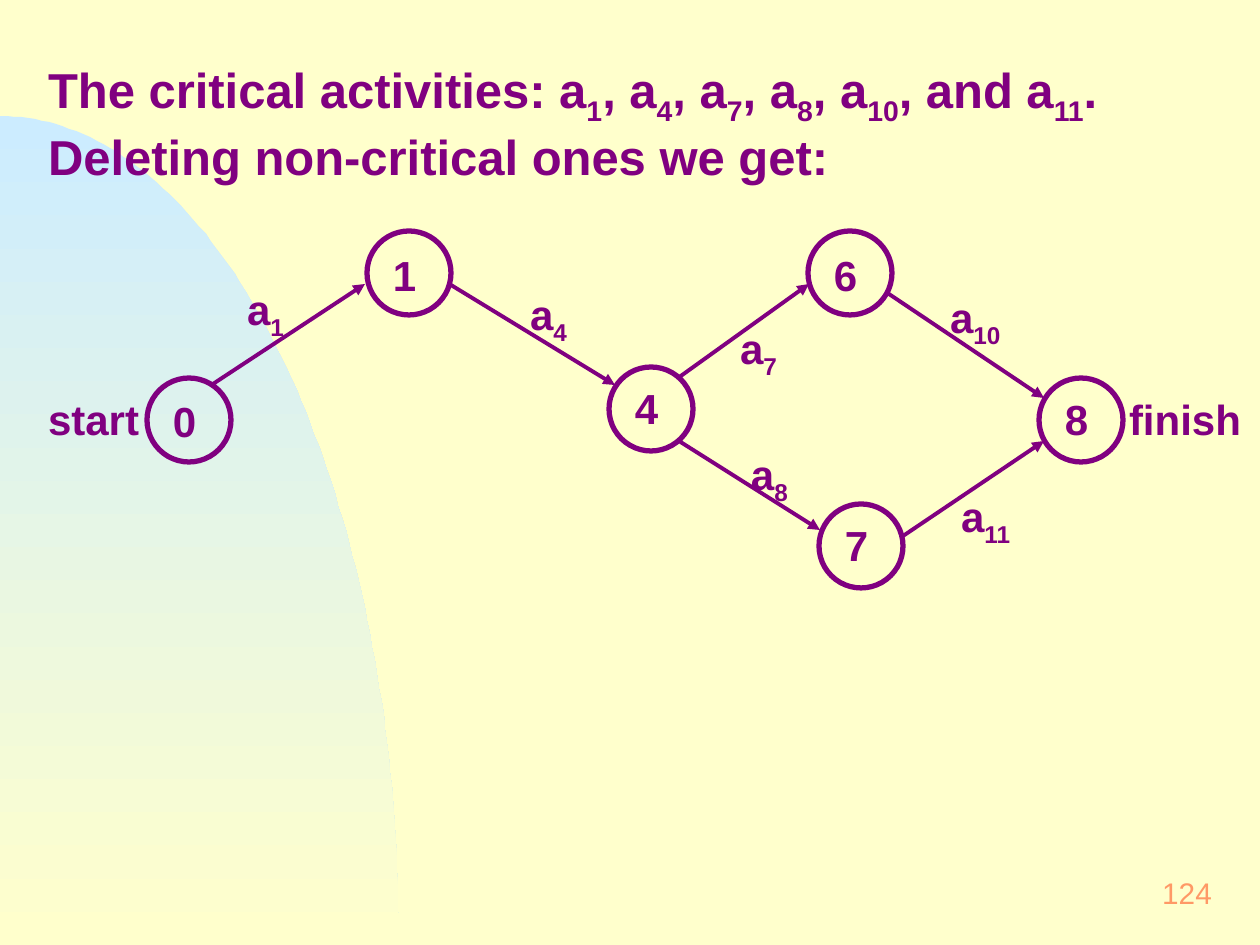
from math import cos, pi, sin
from typing import NamedTuple

from lxml.etree import SubElement
from pptx import Presentation
from pptx.dml.color import RGBColor as RGB
from pptx.enum.shapes import MSO_CONNECTOR as LINK, MSO_SHAPE as SHAPE
from pptx.enum.text import MSO_ANCHOR as ANCHOR, MSO_AUTO_SIZE as AUTO, PP_ALIGN as ALIGN
from pptx.oxml.ns import qn
from pptx.util import Emu, Pt

COLORS = {"back": "FFFFCC", "sky": "CCECFF", "ink": "800080", "page": "FF9966"}
WIDTH, HEIGHT = 1260, 945
SCALE = 914400 / 126
RING = 84


class Node(NamedTuple):
    name: str
    left: int
    top: int
    drop: int  # from ring top to text box top


class Edge(NamedTuple):
    x1: int
    y1: int
    x2: int
    y2: int


class Label(NamedTuple):
    text: str  # every second part between underscores is a subscript
    left: int
    top: int
    width: int
    height: int = 73


NODES = [
    Node("0", 147, 378, 10), Node("1", 367, 231, 11), Node("4", 609, 367, 8),
    Node("6", 808, 231, 11), Node("7", 819, 504, 8), Node("8", 1039, 378, 8),
]
EDGES = [
    Edge(213, 384, 365, 284), Edge(451, 285, 615, 385),
    Edge(678, 378, 809, 284), Edge(679, 441, 820, 530),
    Edge(886, 292, 1044, 398), Edge(903, 536, 1044, 441),
]
LABELS = [
    Label("a_1", 231, 276, 94), Label("a_4", 514, 281, 94),
    Label("a_7", 724, 315, 84), Label("a_8", 735, 441, 73),
    Label("a_10", 934, 284, 94), Label("a_11", 945, 483, 105),
    Label("start", 32, 386, 147, 66), Label("finish", 1113, 386, 147, 66),
]
TITLE = Label("The critical activities: a_1_, a_4_, a_7_, a_8_, a_10_, and a_11_."
              " Deleting non-critical ones we get:", 32, 52, 1207, 141)


def px(num: float) -> Emu:
    return Emu(round(num * SCALE))


def color(name: str) -> RGB:
    return RGB.from_string(COLORS[name])


def write(shape, text: str, size: int, ink: str = "ink", bold: bool = True,
          align=ALIGN.LEFT, wrap: bool = True, anchor=ANCHOR.TOP) -> None:
    frame = shape.text_frame
    frame.word_wrap, frame.auto_size = wrap, AUTO.NONE
    frame.vertical_anchor = anchor
    frame.margin_left = frame.margin_right = px(16)
    frame.margin_top = frame.margin_bottom = px(8)
    para = frame.paragraphs[0]
    para.alignment = align
    font = para.font
    font.name, font.size, font.bold = "Arial", Pt(size), bold
    font.color.rgb = color(ink)
    for pos, part in enumerate(text.split("_")):
        run = para.add_run()
        run.text = part
        if pos % 2:
            run.font._element.set("baseline", "-25000")


def add_text(slide, label: Label, size: int = 24, **style) -> None:
    box = slide.shapes.add_textbox(*map(px, label[1:]))
    write(box, label.text, size, **style)


def add_curve(slide) -> None:
    wide, high, steps = 399, 829, 90
    rim = [(wide * sin(pi / 2 * i / steps), HEIGHT - high * cos(pi / 2 * i / steps))
           for i in range(steps + 1)]
    pen = slide.shapes.build_freeform(*rim[0], scale=SCALE)
    pen.add_line_segments(rim[1:] + [(0, HEIGHT)], close=True)
    curve = pen.convert_to_shape()
    curve.shadow.inherit = False
    curve.line.fill.background()
    curve.fill.gradient()
    curve.fill.gradient_angle = 270
    for stop, name in zip(curve.fill.gradient_stops, ("sky", "back")):
        stop.color.rgb = color(name)
    # Send behind the title
    slide.shapes.title.element.addprevious(curve.element)


def add_node(slide, node: Node) -> None:
    ring = slide.shapes.add_shape(
        SHAPE.OVAL, *map(px, (node.left, node.top, RING, RING)))
    ring.shadow.inherit = False
    ring.fill.background()
    ring.line.color.rgb, ring.line.width = color("ink"), Pt(3)
    add_text(slide, Label(node.name, node.left + 10, node.top + node.drop, 53, 66))


def add_edge(slide, edge: Edge) -> None:
    link = slide.shapes.add_connector(LINK.STRAIGHT, *map(px, edge))
    link.line.color.rgb, link.line.width = color("ink"), Pt(2.25)
    SubElement(link.line._get_or_add_ln(), qn("a:tailEnd"), type="triangle")
    SubElement(link.element.spPr, qn("a:effectLst"))


def main() -> None:
    deck = Presentation()
    deck.slide_width, deck.slide_height = px(WIDTH), px(HEIGHT)
    slide = deck.slides.add_slide(deck.slide_layouts[5])
    slide.background.fill.solid()
    slide.background.fill.fore_color.rgb = color("back")

    # Title and backdrop
    title = slide.shapes.title
    title.left, title.top, title.width, title.height = map(px, TITLE[1:])
    write(title, TITLE.text, 28)
    add_curve(slide)

    # Activity network
    for edge in EDGES:
        add_edge(slide, edge)
    for node in NODES:
        add_node(slide, node)
    for label in LABELS:
        add_text(slide, label)

    # Page number
    add_text(slide, Label("124", 966, 861, 262, 63), 17, ink="page", bold=False,
             align=ALIGN.RIGHT, wrap=False, anchor=ANCHOR.MIDDLE)
    deck.save("out.pptx")


if __name__ == "__main__":
    main()
